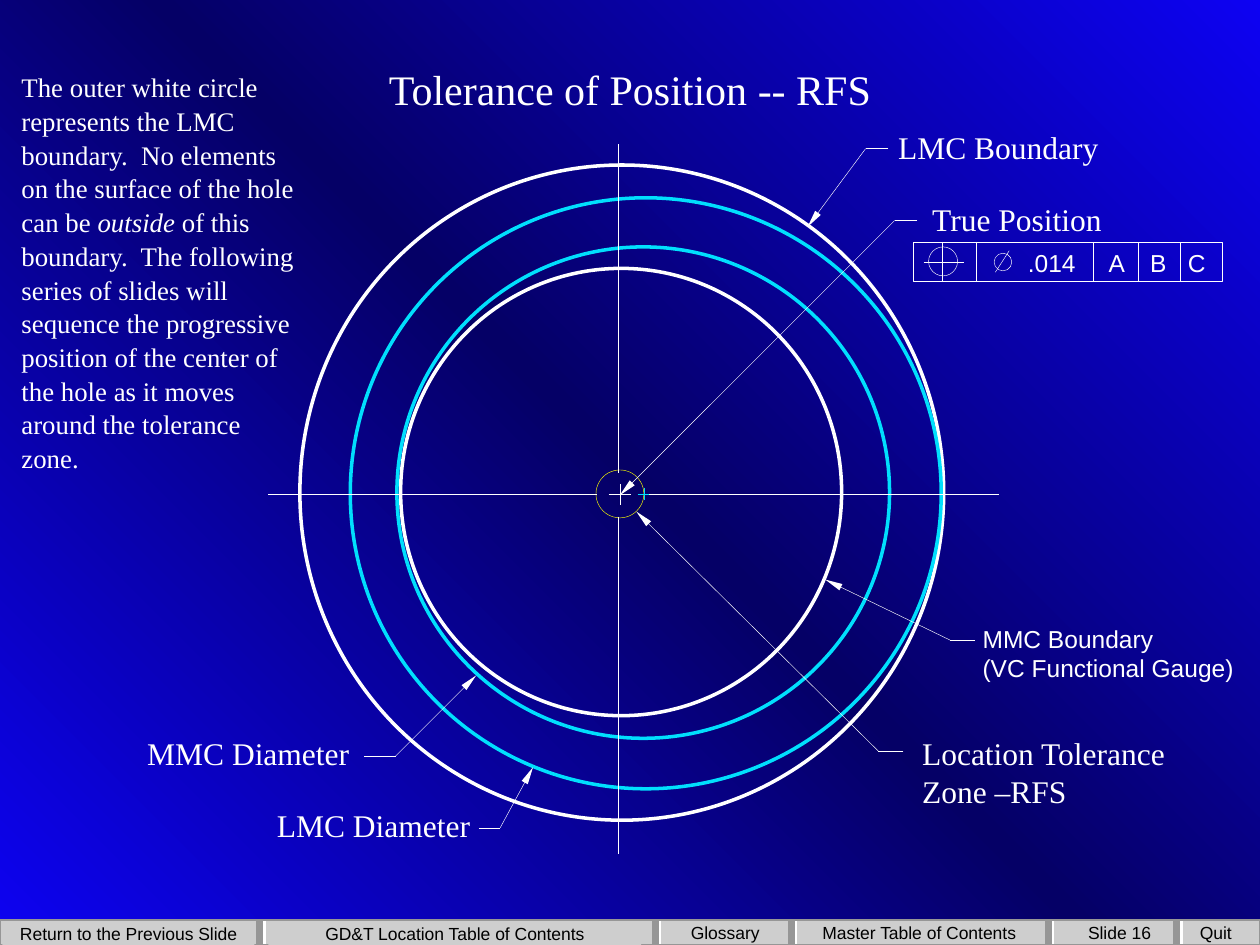
from copy import deepcopy
from lxml import etree
from pptx import Presentation
from pptx.dml.color import RGBColor
from pptx.enum.shapes import MSO_CONNECTOR, MSO_SHAPE
from pptx.enum.text import MSO_ANCHOR, MSO_AUTO_SIZE, PP_ALIGN
from pptx.oxml.ns import qn
from pptx.util import Cm, Pt

RECT, OVAL = MSO_SHAPE.RECTANGLE, MSO_SHAPE.OVAL
STRAIGHT = MSO_CONNECTOR.STRAIGHT
MIDDLE = MSO_ANCHOR.MIDDLE
LEFT, CENTER = PP_ALIGN.LEFT, PP_ALIGN.CENTER
NO_FIT = MSO_AUTO_SIZE.NONE
SERIF, SANS = "Times New Roman", "Arial"
INCH = 2.54
COLORS = {
    "white": "FFFFFF", "black": "000000", "cyan": "01DFFD", "yellow": "FAFD00",
    "bar": "CECECE", "gray": "969696", "blue": "0D02F2", "navy": "050066",
}
RGB = {name: RGBColor.from_string(value) for name, value in COLORS.items()}


def add_line(x1, y1, x2, y2, color="white", width=0.25, arrow=False):
    c = s.shapes.add_connector(STRAIGHT, *[Cm(v * INCH) for v in (x1, y1, x2, y2)])
    c.line.color.rgb = RGB[color]
    c.line.width = Pt(width)
    if arrow:
        etree.SubElement(c.line._get_or_add_ln(), qn("a:tailEnd"), type="triangle", w="sm", len="lg")
    etree.SubElement(c._element.spPr, qn("a:effectLst"))


def write(tf, paragraphs, size, font, color="white", align=LEFT, wrap=False):
    tf.word_wrap = wrap
    tf.auto_size = NO_FIT
    for i, runs in enumerate(paragraphs):
        p = tf.paragraphs[0] if i == 0 else tf.add_paragraph()
        p.alignment = align
        p.space_before = Pt(0)
        for j, text in enumerate(runs):
            r = p.add_run()
            r.text = text
            r.font.size = Pt(size)
            r.font.name = font
            r.font.italic = j == 1
            r.font.color.rgb = RGB[color]


prs = Presentation()
prs.slide_width, prs.slide_height = Cm(10 * INCH), Cm(7.5 * INCH)
s = prs.slides.add_slide(prs.slide_layouts[1])

fill = s.background.fill
fill.gradient()
fill.gradient_angle = 225
gs_list = s.element.find(".//" + qn("a:gsLst"))
gs_list.insert(1, deepcopy(gs_list[0]))
for stop, position, color in zip(fill.gradient_stops, (0, 0.5, 1), ("blue", "navy", "blue")):
    stop.position = position
    stop.color.rgb = RGB[color]

title, body = s.shapes.title, s.placeholders[1]
for sp, box in ((title, (0.75, 0.08, 8.5, 1.25)), (body, (0.07, 0.5, 2.42, 3.9))):
    sp.left, sp.top, sp.width, sp.height = [Cm(v * INCH) for v in box]
title.text_frame.vertical_anchor = MIDDLE
write(title.text_frame, [["Tolerance of Position -- RFS"]], 24, SERIF, align=CENTER, wrap=True)
p = body.text_frame.paragraphs[0]
pPr = p._p.get_or_add_pPr()
pPr.set("marL", "0")
pPr.set("indent", "0")
etree.SubElement(pPr, qn("a:buNone"))
p.line_spacing = 1.05
write(body.text_frame, [[
    "The outer white circle represents the LMC boundary.  No elements on the surface of the hole can be ",
    "outside",
    " of this boundary.  The following series of slides will sequence the progressive position "
    "of the center of the hole as it moves around the tolerance zone.",
]], 15.3, SERIF, wrap=True)

shapes = [
    (RECT, 0, 7.3, 10, 0.2, "gray", 1.25, ""),
    (RECT, 0.02, 7.32, 2, 0.18, None, 0, "Return to the Previous Slide"),
    (RECT, 2.13, 7.31, 2.96, 0.19, None, 0, "GD&T Location Table of Contents"),
    (RECT, 5.26, 7.31, 0.99, 0.18, None, 0, "Glossary"),
    (RECT, 6.47, 7.31, 1.65, 0.18, None, 0, "Master Table of Contents"),
    (RECT, 8.51, 7.31, 0.75, 0.18, None, 0, "Slide 16"),
    (RECT, 9.4, 7.31, 0.5, 0.18, None, 0, "Quit"),
    (OVAL, 4.73, 3.73, 0.38, 0.38, "yellow", 0.25, ""),
    (RECT, 7.25, 1.92, 2.45, 0.31, "white", 0.25, ""),
    (OVAL, 7.37, 1.96, 0.23, 0.23, "white", 0.25, ""),
    (OVAL, 7.89, 2.01, 0.14, 0.14, "white", 0.25, ""),
    (OVAL, 3.18, 2.13, 3.5, 3.55, "white", 2, ""),
    (OVAL, 2.38, 1.31, 5.11, 5.2, "white", 2, ""),
    (OVAL, 2.78, 1.57, 4.69, 4.69, "cyan", 2, ""),
    (OVAL, 3.15, 1.96, 3.91, 3.9, "cyan", 2, ""),
]
for kind, x, y, w, h, color, width, label in shapes:
    sp = s.shapes.add_shape(kind, *[Cm(v * INCH) for v in (x, y, w, h)])
    sp.shadow.inherit = False
    if y > 7:
        sp.fill.solid()
        sp.fill.fore_color.rgb = RGB["bar"]
    else:
        sp.fill.background()
    if color:
        sp.line.color.rgb = RGB[color]
        sp.line.width = Pt(width)
    else:
        sp.line.fill.background()
    if label:
        sp.text_frame.vertical_anchor = MIDDLE
        write(sp.text_frame, [[label]], 10, SANS, "black", CENTER)

for x in (2.08, 5.22, 6.3, 8.34, 9.36):
    add_line(x, 7.49, x, 7.31, "white", 4)
    add_line(x - 0.02, 7.49, x - 0.02, 7.31, "gray", 4)

center_lines = [
    (4.91, 3.75, 4.91, 1.14), (5.08, 3.92, 7.93, 3.92),
    (4.91, 4.1, 4.91, 6.78), (4.74, 3.92, 2.13, 3.92),
    (4.83, 3.92, 5.01, 3.92), (4.92, 3.84, 4.92, 4.01),
]
frame_lines = [(x, 1.92, x, 2.23) for x in (7.48, 7.75, 8.68, 9.03, 9.37)]
frame_lines += [(7.33, 2.08, 7.65, 2.08), (8.01, 1.99, 7.9, 2.16)]
for ends in center_lines + frame_lines:
    add_line(*ends)
add_line(5.11, 3.87, 5.11, 3.97, "cyan")
add_line(5.06, 3.92, 5.15, 3.92, "cyan")

leaders = [
    (7.28, 1.75, 7.1, 4.92, 3.93),
    (7.17, 5.96, 6.97, 5.05, 4.06),
    (2.89, 6, 3.14, 3.78, 5.36),
    (3.8, 6.57, 3.97, 4.23, 6.09),
    (7.05, 1.18, 6.87, 6.41, 1.8),
    (7.74, 5.08, 7.54, 6.55, 4.6),
]
for start, y, bend, tip_x, tip_y in leaders:
    add_line(start, y, bend, y)
    add_line(bend, y, tip_x, tip_y, arrow=True)

labels = [
    (7.3, 1.54, 1.55, 0.4, 18, SERIF, [["True Position"]]),
    (7.22, 5.78, 2.21, 0.7, 18, SERIF, [["Location Tolerance"], ["Zone –RFS"]]),
    (1.07, 5.78, 1.8, 0.4, 18, SERIF, [["MMC Diameter"]]),
    (2.1, 6.35, 1.73, 0.4, 18, SERIF, [["LMC Diameter"]]),
    (7.03, 0.97, 1.79, 0.4, 18, SERIF, [["LMC Boundary"]]),
    (7.7, 4.9, 2.19, 0.57, 14, SANS, [["MMC Boundary"], ["(VC Functional Gauge)"]]),
]
for x, y, w, h, size, font, paragraphs in labels:
    tb = s.shapes.add_textbox(*[Cm(v * INCH) for v in (x, y, w, h)])
    write(tb.text_frame, paragraphs, size, font)

tb = s.shapes.add_textbox(*[Cm(v * INCH) for v in (8.06, 1.92, 1.63, 0.33)])
tabs = etree.SubElement(tb.text_frame.paragraphs[0]._p.get_or_add_pPr(), qn("a:tabLst"))
for stop in (0.64, 0.97, 1.27):
    etree.SubElement(tabs, qn("a:tab"), pos=str(Cm(stop * INCH)), algn="l")
write(tb.text_frame, [[".014\tA\tB\tC"]], 14, SANS, wrap=True)

prs.save("out.pptx")
